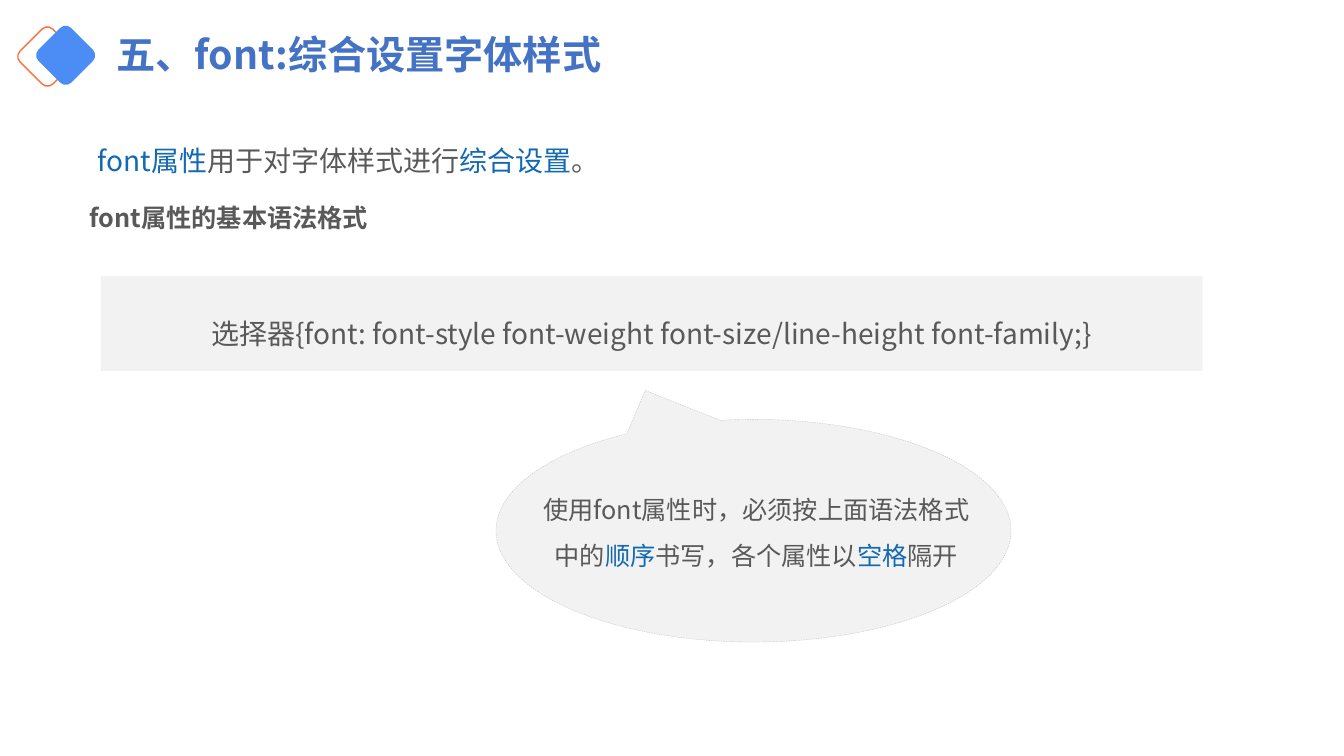
from dataclasses import dataclass

import pptx
import pptx.dml.color
import pptx.enum.dml
import pptx.enum.shapes
import pptx.enum.text
import pptx.oxml.ns
import pptx.shapes.autoshape
import pptx.slide
import pptx.text.text
import pptx.util
from lxml import etree

Align = pptx.enum.text.PP_ALIGN
Anchor = pptx.enum.text.MSO_ANCHOR
AutoSize = pptx.enum.text.MSO_AUTO_SIZE
Preset = pptx.enum.shapes.MSO_SHAPE
Dash = pptx.enum.dml.MSO_LINE_DASH_STYLE


@dataclass(frozen=True)
class Theme:
    font: str = "Noto Sans CJK SC"
    title: str = "4472C4"
    body: str = "595959"
    accent: str = "1369B2"
    panel: str = "F2F2F2"
    panel_line: str = "BFBFBF"
    diamond: str = "4C8CF5"
    diamond_line: str = "FD703B"
    title_size: int = 28
    body_size: int = 20
    note_size: int = 18


THEME = Theme()


@dataclass(frozen=True)
class Box:
    left: float
    top: float
    width: float
    height: float

    def lengths(self) -> list[pptx.util.Length]:
        return [pptx.util.Cm(value) for value in (self.left, self.top, self.width, self.height)]


@dataclass(frozen=True)
class Figure:
    preset: Preset
    box: Box
    fill: str | None = None
    line: str | None = None
    line_width: float = 1
    dash: Dash | None = None
    rotation: float = 0
    adjustments: tuple[float, ...] = ()


@dataclass(frozen=True)
class Piece:
    text: str
    color: str = THEME.body


@dataclass(frozen=True)
class Label:
    box: Box
    pieces: tuple[Piece, ...]
    size: int
    align: Align = Align.LEFT
    bold: bool = False
    line_spacing: float = 1.5
    anchor: Anchor = Anchor.TOP
    auto_size: AutoSize = AutoSize.SHAPE_TO_FIT_TEXT
    inset: bool = True


FIGURES = (
    Figure(Preset.ROUNDED_RECTANGLE, Box(0.61, 0.84, 1.17, 1.17), line=THEME.diamond_line, rotation=45),
    Figure(Preset.ROUNDED_RECTANGLE, Box(1.07, 0.81, 1.17, 1.17), fill=THEME.diamond, rotation=45),
    Figure(Preset.RECTANGLE, Box(2.54, 6.96, 27.76, 2.39), fill=THEME.panel),
    Figure(
        Preset.OVAL_CALLOUT,
        Box(12.5, 10.57, 12.98, 5.61),
        fill=THEME.panel,
        line=THEME.panel_line,
        line_width=0.25,
        dash=Dash.DASH,
        adjustments=(-0.21, -0.63),
    ),
)

LABELS = (
    Label(
        Box(2.69, 0.43, 13.03, 2.01),
        (Piece("五、font:综合设置字体样式", THEME.title),),
        THEME.title_size,
        bold=True,
        line_spacing=0.9,
        anchor=Anchor.MIDDLE,
        auto_size=AutoSize.NONE,
    ),
    Label(
        Box(2.46, 3.2, 27.84, 1.14),
        (
            Piece("font属性", THEME.accent),
            Piece("用于对字体样式进行"),
            Piece("综合设置", THEME.accent),
            Piece("。"),
        ),
        THEME.body_size,
        align=Align.JUSTIFY,
        inset=False,
    ),
    Label(
        Box(2.01, 4.6, 28.68, 1.8),
        (Piece("font属性的基本语法格式"),),
        THEME.note_size,
        bold=True,
    ),
    Label(
        Box(2.54, 7.44, 27.76, 0.86),
        (Piece("选择器{font: font-style font-weight font-size/line-height font-family;}"),),
        THEME.body_size,
        align=Align.CENTER,
    ),
    Label(
        Box(13.41, 11.96, 11.3, 2.44),
        (
            Piece("使用font属性时，必须按上面语法格式中的"),
            Piece("顺序", THEME.accent),
            Piece("书写，各个属性以"),
            Piece("空格", THEME.accent),
            Piece("隔开"),
        ),
        THEME.note_size,
        align=Align.CENTER,
    ),
)


def rgb(color: str) -> pptx.dml.color.RGBColor:
    return pptx.dml.color.RGBColor.from_string(color)


def draw_figure(slide: pptx.slide.Slide, figure: Figure) -> None:
    shape: pptx.shapes.autoshape.Shape = slide.shapes.add_shape(figure.preset, *figure.box.lengths())
    shape.shadow.inherit = False
    shape.rotation = figure.rotation
    for index, value in enumerate(figure.adjustments):
        shape.adjustments[index] = value
    if figure.fill:
        shape.fill.solid()
        shape.fill.fore_color.rgb = rgb(figure.fill)
    else:
        shape.fill.background()
    if figure.line:
        shape.line.color.rgb = rgb(figure.line)
        shape.line.width = pptx.util.Pt(figure.line_width)
        shape.line.dash_style = figure.dash
    else:
        shape.line.fill.background()


def add_piece(paragraph: pptx.text.text._Paragraph, piece: Piece, label: Label) -> None:
    run = paragraph.add_run()
    run.text = piece.text
    run.font.size = pptx.util.Pt(label.size)
    run.font.bold = label.bold
    run.font.color.rgb = rgb(piece.color)
    run.font.name = THEME.font
    properties = run._r.get_or_add_rPr()
    etree.SubElement(properties, pptx.oxml.ns.qn("a:ea"), typeface=THEME.font)


def draw_label(slide: pptx.slide.Slide, label: Label) -> None:
    frame = slide.shapes.add_textbox(*label.box.lengths()).text_frame
    frame.word_wrap = True
    frame.auto_size = label.auto_size
    frame.vertical_anchor = label.anchor
    if not label.inset:
        frame.margin_left = frame.margin_top = frame.margin_right = frame.margin_bottom = 0
    paragraph = frame.paragraphs[0]
    paragraph.alignment = label.align
    paragraph.line_spacing = label.line_spacing
    for piece in label.pieces:
        add_piece(paragraph, piece, label)


def main() -> None:
    presentation = pptx.Presentation()
    presentation.slide_width = pptx.util.Cm(33.87)
    presentation.slide_height = pptx.util.Cm(19.05)
    slide = presentation.slides.add_slide(presentation.slide_layouts[6])
    for figure in FIGURES:
        draw_figure(slide, figure)
    for label in LABELS:
        draw_label(slide, label)
    presentation.save("out.pptx")


if __name__ == "__main__":
    main()
